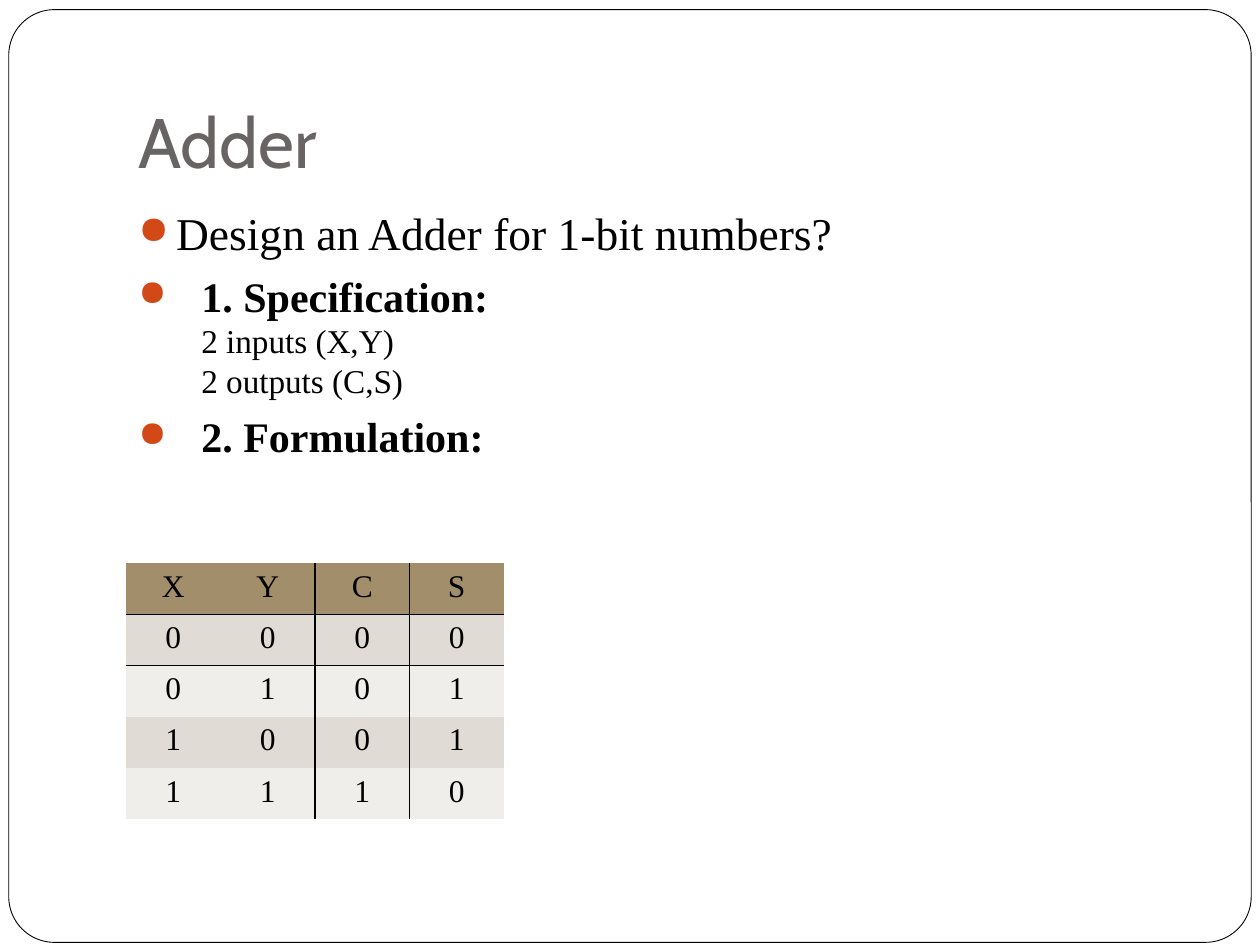
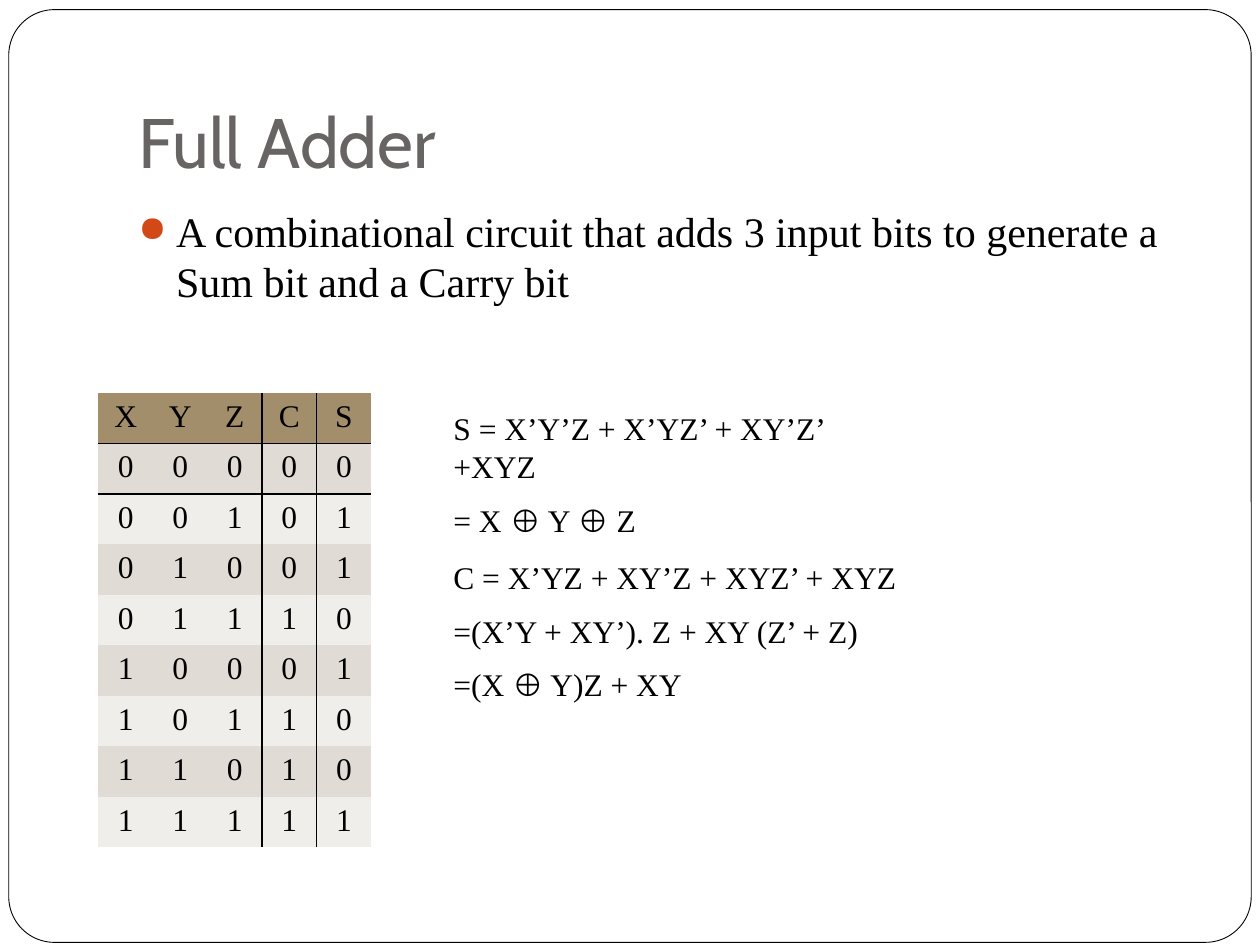
"""Build two slides on one-bit adders, each with its truth table."""
from itertools import product

from lxml.etree import SubElement
from pptx import Presentation
from pptx.dml.color import RGBColor
from pptx.enum.shapes import MSO_SHAPE as Shape
from pptx.enum.text import MSO_ANCHOR as Anchor, MSO_AUTO_SIZE as AutoSize, PP_ALIGN as Align
from pptx.oxml.ns import qn
from pptx.util import Pt

COLORS = {
    "paper": "FFFFFF",
    "ink": "000000",
    "title": "696464",
    "bullet": "D34817",
    "header": "A28E6A",
    "odd_row": "E0DBD4",
    "even_row": "F0EEEB",
}
TITLE_FONT = "Cabin"
BODY_FONT = "Times New Roman"
NO_TABLE_STYLE = "{2D5ABB26-0587-4C30-8999-92F81FD0307C}"

SLIDES = [
    {
        "title": "Adder",
        "bullets": [
            (21.6, [("Design an Adder for 1-bit numbers?", 26, False)]),
            (36, [("1. Specification:", 24, True),
                  ("2 inputs (X,Y)", 19, False),
                  ("2 outputs (C,S)", 19, False)]),
            (36, [("2. Formulation:", 24, True)]),
        ],
        "inputs": "XY",
        "table": (72, 321.8, 54, 29.25),
        "equations": [],
    },
    {
        "title": "Full Adder",
        "bullets": [
            (21.6, [("A combinational circuit that adds 3 input bits to generate a "
                     "Sum bit and a Carry bit", 24, False)]),
        ],
        "inputs": "XYZ",
        "table": (56.2, 224.6, 31.2, 28.8),
        "equations": [
            ((252, 230.4, 272.2, 61.9),
             ["S = X’Y’Z + X’YZ’ + XY’Z’ +XYZ", "= X ⊕ Y ⊕ Z"]),
            ((252, 315.4, 283.7, 94.3),
             ["C = X’YZ + XY’Z + XYZ’ + XYZ", "=(X’Y + XY’). Z + XY (Z’ + Z)", "=(X ⊕ Y)Z + XY"]),
        ],
    },
]


def add_run(paragraph, text, size, bold=False, font=BODY_FONT, color="ink"):
    run = paragraph.add_run()
    run.text = text
    run.font.name = font
    run.font.size = Pt(size)
    run.font.bold = bold
    run.font.color.rgb = RGBColor.from_string(COLORS[color])


def add_colored(parent, tag, color):
    holder = SubElement(parent, qn(tag))
    SubElement(holder, qn("a:srgbClr"), val=COLORS[color])
    return holder


presentation = Presentation()
presentation.slide_width, presentation.slide_height = Pt(720), Pt(540)

for content in SLIDES:
    slide = presentation.slides.add_slide(presentation.slide_layouts[5])

    frame = slide.shapes.add_shape(Shape.ROUNDED_RECTANGLE, Pt(5), Pt(5.5), Pt(710), Pt(533))
    frame.adjustments[0] = 0.049
    frame.shadow.inherit = False
    frame.fill.solid()
    frame.fill.fore_color.rgb = RGBColor.from_string(COLORS["paper"])
    frame.line.color.rgb = RGBColor.from_string(COLORS["ink"])
    frame.line.width = Pt(0.5)
    slide.shapes._spTree.insert(2, frame._element)

    title = slide.shapes.title
    title.left, title.top, title.width, title.height = Pt(72), Pt(21.6), Pt(612), Pt(90)
    title_text = title.text_frame
    title_text.auto_size = AutoSize.NONE
    title_text.vertical_anchor = Anchor.BOTTOM
    title_text.margin_bottom = Pt(7.2)
    title_text.paragraphs[0].alignment = Align.LEFT
    add_run(title_text.paragraphs[0], content["title"], 40, font=TITLE_FONT, color="title")

    body = slide.shapes.add_textbox(Pt(72), Pt(113.8), Pt(612), Pt(360)).text_frame
    body.word_wrap = True
    for index, (indent, lines) in enumerate(content["bullets"]):
        paragraph = body.add_paragraph() if index else body.paragraphs[0]
        paragraph.space_before = Pt(5.8)
        properties = paragraph._p.get_or_add_pPr()
        properties.set("marL", str(Pt(indent)))
        properties.set("indent", str(-Pt(indent)))
        add_colored(properties, "a:buClr", "bullet")
        SubElement(properties, qn("a:buSzPct"), val="85000")
        SubElement(properties, qn("a:buChar"), char="●")
        for line_index, (text, size, bold) in enumerate(lines):
            if line_index:
                paragraph.add_line_break()
            add_run(paragraph, text, size, bold)

    inputs = content["inputs"]
    rows = [[*inputs, "C", "S"]]
    for bits in product((0, 1), repeat=len(inputs)):
        carry, total = divmod(sum(bits), 2)
        rows.append([*bits, carry, total])

    left, top, column_width, row_height = content["table"]
    column_count = len(rows[0])
    table = slide.shapes.add_table(
        len(rows), column_count, Pt(left), Pt(top),
        Pt(column_width * column_count), Pt(row_height * len(rows))).table
    table.horz_banding = table.first_row = False
    table._tbl.tblPr.find(qn("a:tableStyleId")).text = NO_TABLE_STYLE
    for column in table.columns:
        column.width = Pt(column_width)
    for row_index, values in enumerate(rows):
        table.rows[row_index].height = Pt(row_height)
        fill = "header" if row_index == 0 else ("even_row", "odd_row")[row_index % 2]
        for column_index, value in enumerate(values):
            cell = table.cell(row_index, column_index)
            paragraph = cell.text_frame.paragraphs[0]
            paragraph.alignment = Align.CENTER
            add_run(paragraph, str(value), 18)
            borders = {
                "a:lnL": column_index == len(inputs),
                "a:lnR": column_index == len(inputs) - 1,
                "a:lnT": row_index == 1,
                "a:lnB": row_index == 0,
            }
            for tag, shown in borders.items():
                if shown:
                    border = SubElement(cell._tc.get_or_add_tcPr(), qn(tag), w=str(Pt(1)))
                    add_colored(border, "a:solidFill", "ink")
            cell.fill.solid()
            cell.fill.fore_color.rgb = RGBColor.from_string(COLORS[fill])

    for box, equations in content["equations"]:
        text_frame = slide.shapes.add_textbox(*map(Pt, box)).text_frame
        text_frame.word_wrap = True
        for index, equation in enumerate(equations):
            paragraph = text_frame.add_paragraph() if index else text_frame.paragraphs[0]
            paragraph.space_before = Pt(9)
            add_run(paragraph, equation, 18)

presentation.save("out.pptx")
